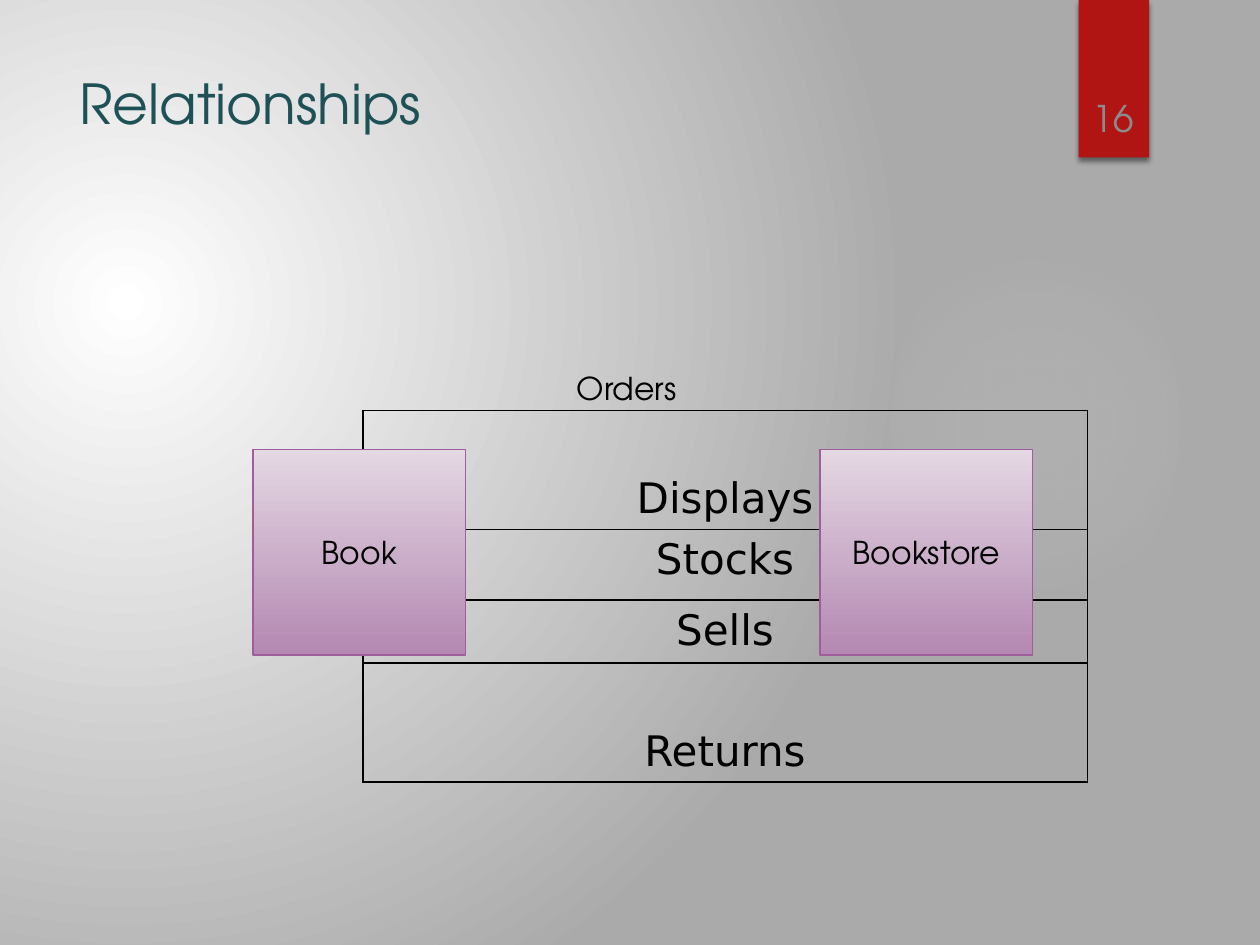
from lxml import etree
from pptx import Presentation
from pptx.dml.color import RGBColor
from pptx.enum import shapes, text
from pptx.oxml import ns, parse_xml
from pptx.util import Pt

COLORS = {
    "black": "000000", "title": "1E5155", "number": "8C8C8C", "red": "B01513",
    "white": "FFFFFF", "gray": "AAAAAA", "glow": "F3F3F3",
    "box_top": "E4D8E3", "box_bottom": "B488B2", "box_line": "9E5E9B",
}
FONT = "TeX Gyre Adventor"
CENTER = text.PP_ALIGN.CENTER


def set_gradient(props, stops, shade):
    """Replace the solid fill of props; stops are (position %, colour, alpha %)."""
    gs = "".join(
        f'<a:gs pos="{pos * 1000}"><a:srgbClr val="{COLORS[color]}">'
        f'<a:alpha val="{alpha * 1000}"/></a:srgbClr></a:gs>'
        for pos, color, alpha in stops)
    grad = parse_xml(f'<a:gradFill {ns.nsdecls("a")} rotWithShape="1">'
                     f'<a:gsLst>{gs}</a:gsLst>{shade}</a:gradFill>')
    solid = props.find(ns.qn("a:solidFill"))
    props.replace(solid, grad)


def write(tf, words, size, color, font=FONT, align=CENTER):
    p = tf.paragraphs[0]
    p.text = words
    p.alignment = align
    p.font.size = Pt(size)
    p.font.name = font
    p.font.color.rgb = RGBColor.from_string(COLORS[color])


prs = Presentation()
prs.slide_width, prs.slide_height = Pt(720), Pt(540)
s = prs.slides.add_slide(prs.slide_layouts[5])

# Background
s.background.fill.solid()
set_gradient(s.element.find(".//" + ns.qn("p:bgPr")),
             [(0, "white", 100), (100, "gray", 100)],
             '<a:path path="circle"><a:fillToRect l="45000" t="65000" r="125000" b="100000"/></a:path>')

# Soft glow
glow = s.shapes.add_shape(shapes.MSO_SHAPE.OVAL, Pt(508.3), Pt(131.8), Pt(166.3), Pt(221.8))
glow.shadow.inherit = False
glow.line.fill.background()
glow.fill.solid()
set_gradient(glow.element.spPr, [(0, "glow", 7), (36, "glow", 6), (69, "glow", 0)],
             '<a:path path="circle"><a:fillToRect l="50000" t="50000" r="50000" b="50000"/></a:path>')

# Red ribbon with the slide number
ribbon = s.shapes.add_shape(shapes.MSO_SHAPE.RECTANGLE, Pt(616.3), Pt(0), Pt(40.4), Pt(90))
ribbon.shadow.inherit = False
ribbon.line.fill.background()
ribbon.fill.solid()
ribbon.fill.fore_color.rgb = RGBColor.from_string(COLORS["red"])
effects = ribbon.element.spPr.find(ns.qn("a:effectLst"))
shadow = etree.SubElement(effects, ns.qn("a:outerShdw"), blurRad=str(Pt(3)), dist=str(Pt(2)),
                          dir="5400000", rotWithShape="0")
shade = etree.SubElement(shadow, ns.qn("a:srgbClr"), val=COLORS["black"])
etree.SubElement(shade, ns.qn("a:alpha"), val="45000")

number = s.shapes.add_textbox(Pt(611.3), Pt(23), Pt(49.7), Pt(60.5))
number.text_frame.word_wrap = True
number.text_frame.vertical_anchor = text.MSO_ANCHOR.BOTTOM
write(number.text_frame, "16", 21, "number")

# Title
title = s.shapes.title
title.left, title.top, title.width, title.height = Pt(38.2), Pt(36), Pt(555), Pt(110)
title.text_frame.vertical_anchor = text.MSO_ANCHOR.TOP
write(title.text_frame, "Relationships", 31.5, "title", align=text.PP_ALIGN.LEFT)

# Relationship table
rows = [("Displays", 68), ("Stocks", 40.5), ("Sells", 35.4), ("Returns", 68)]
frame = s.shapes.add_table(len(rows), 1, Pt(207.3), Pt(234.5), Pt(414),
                           Pt(sum(height for _, height in rows)))
table = frame.table
table.first_row = table.horz_banding = False
for i, (label, height) in enumerate(rows):
    table.rows[i].height = Pt(height)
    cell = table.cell(i, 0)
    cell.vertical_anchor = text.MSO_ANCHOR.BOTTOM if height > 60 else text.MSO_ANCHOR.TOP
    write(cell.text_frame, label, 24, "black", font="DejaVu Sans")
    tc_pr = cell._tc.get_or_add_tcPr()
    for side in ("lnL", "lnR", "lnT", "lnB"):
        line = etree.SubElement(tc_pr, ns.qn("a:" + side), w=str(Pt(1)))
        fill = etree.SubElement(line, ns.qn("a:solidFill"))
        etree.SubElement(fill, ns.qn("a:srgbClr"), val=COLORS["black"])
    cell.fill.background()

# Entity boxes
for label, left in (("Book", 144.5), ("Bookstore", 468.5)):
    box = s.shapes.add_shape(shapes.MSO_SHAPE.RECTANGLE, Pt(left), Pt(257), Pt(121.7), Pt(117.3))
    box.shadow.inherit = False
    box.fill.solid()
    set_gradient(box.element.spPr, [(0, "box_top", 100), (100, "box_bottom", 100)],
                 '<a:lin ang="5400000" scaled="0"/>')
    box.line.color.rgb = RGBColor.from_string(COLORS["box_line"])
    box.line.width = Pt(0.75)
    box.text_frame.word_wrap = False
    box.text_frame.vertical_anchor = text.MSO_ANCHOR.MIDDLE
    write(box.text_frame, label, 18, "black")

# Label above the table
orders = s.shapes.add_textbox(Pt(261.4), Pt(207.4), Pt(193.7), Pt(28.8))
orders.text_frame.word_wrap = True
write(orders.text_frame, "Orders", 18, "black")

prs.save("out.pptx")
